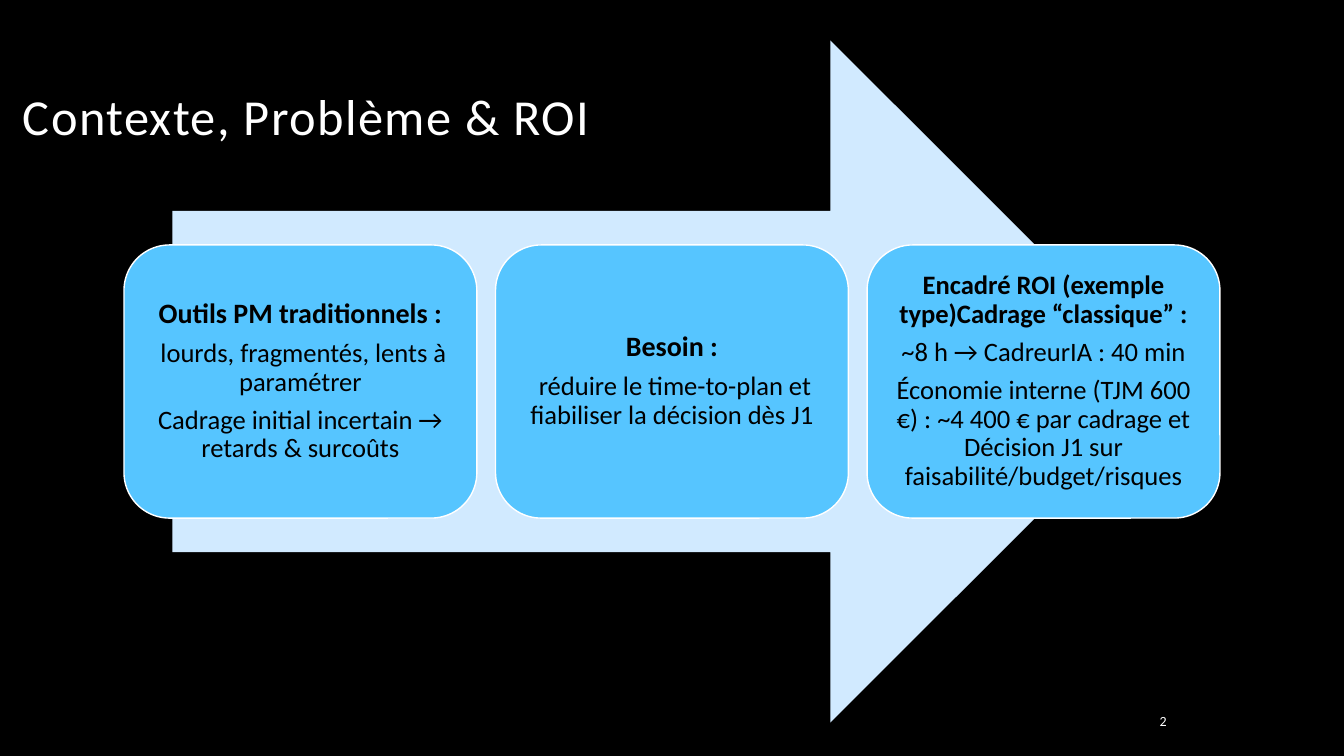
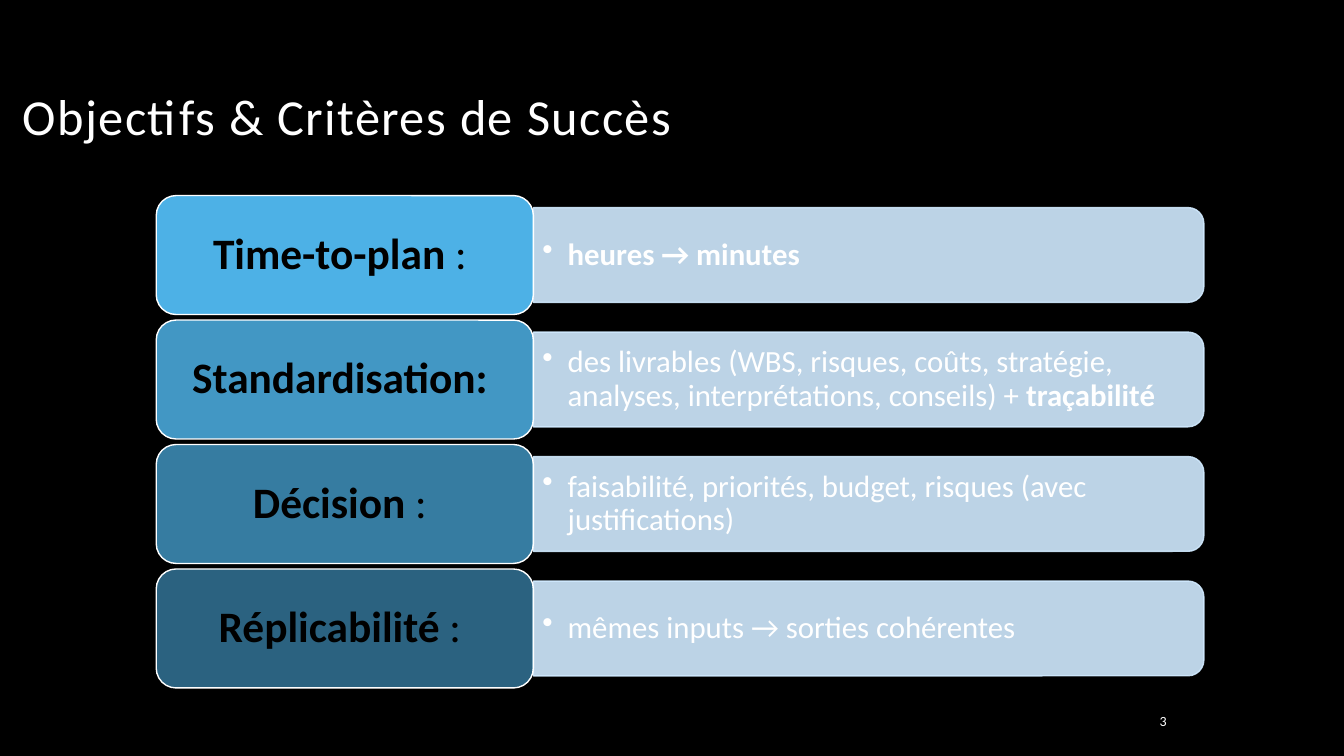
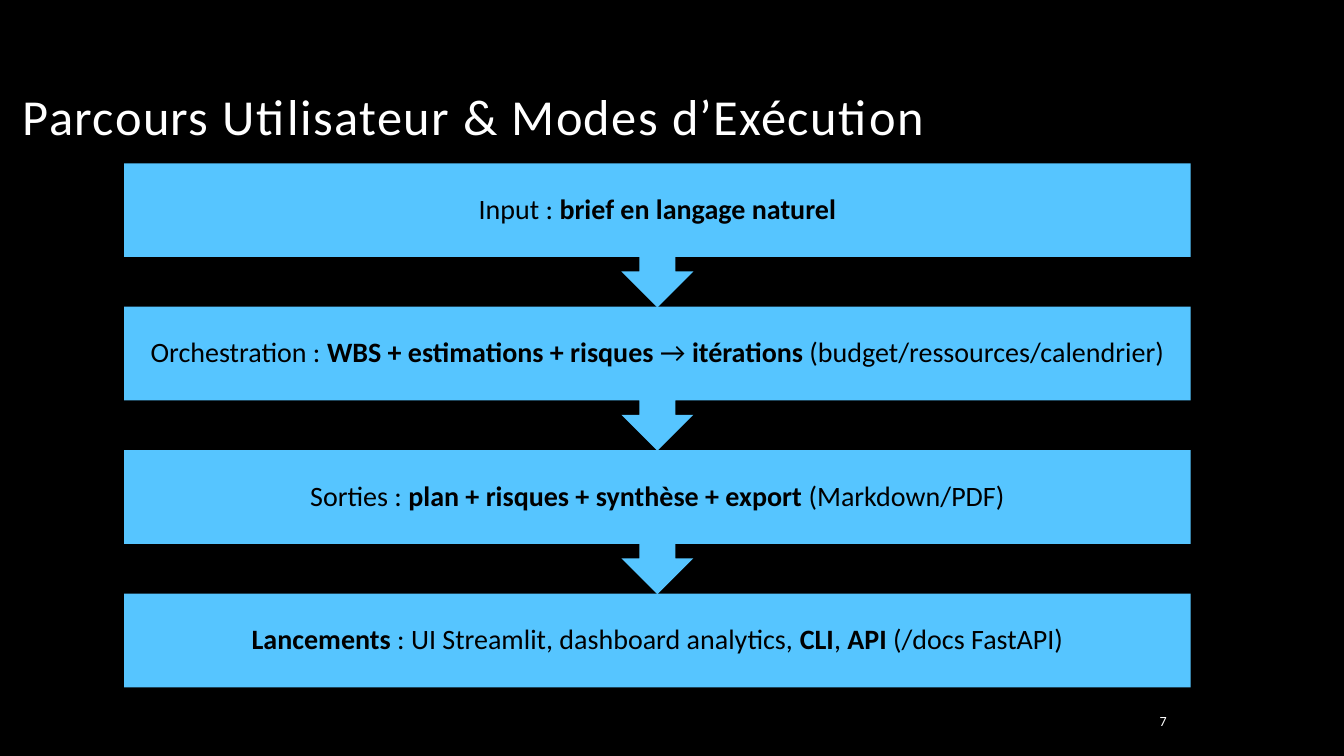
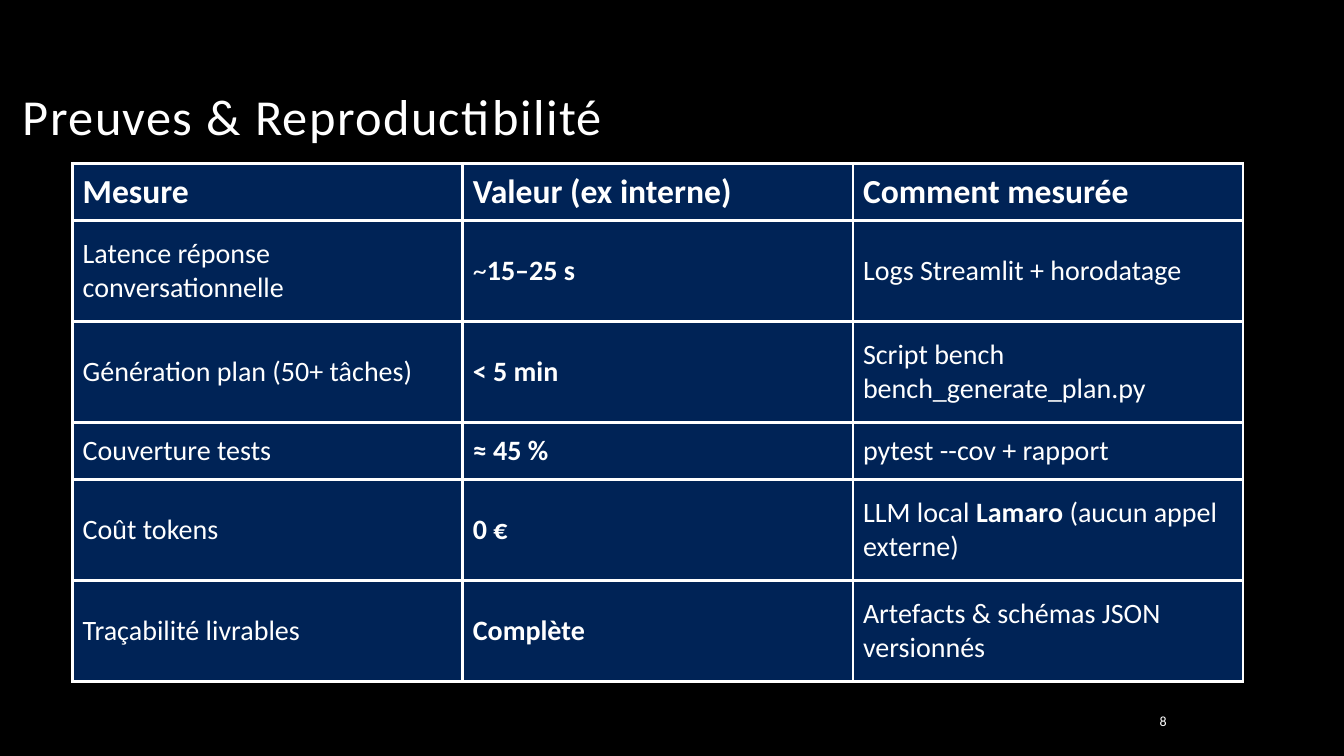
import pptx
import pptx.dml.color
import pptx.enum.shapes
import pptx.enum.text
import pptx.oxml
import pptx.oxml.ns
import pptx.util
from dataclasses import dataclass

Inches, Pt = pptx.util.Inches, pptx.util.Pt
SHAPE = pptx.enum.shapes.MSO_SHAPE
ALIGN = pptx.enum.text.PP_ALIGN
ANCHOR = pptx.enum.text.MSO_ANCHOR
qn = pptx.oxml.ns.qn


@dataclass(frozen=True)
class Theme:
    font: str = "Calibri"
    black: str = "000000"
    white: str = "FFFFFF"
    sky: str = "56C5FF"
    pale: str = "D1EAFF"
    navy: str = "002356"
    title: int = 36
    label: int = 31
    head: int = 24
    bullet: int = 22
    body: int = 20
    detail: int = 19
    number: int = 10


T = Theme()

CONTEXT = [
    [("**Outils PM traditionnels :**", T.body),
     (" lourds, fragmentés, lents à paramétrer", T.detail),
     ("Cadrage initial incertain → retards & surcoûts", T.detail)],
    [("**Besoin :**", T.body),
     (" réduire le time-to-plan et fiabiliser la décision dès J1", T.detail)],
    [("**Encadré ROI (exemple type)Cadrage “classique” :**", T.detail),
     (" ~8 h → CadreurIA : 40 min ", T.detail),
     ("Économie interne (TJM 600 €) : ~4 400 € par cadrage et Décision J1 "
      "sur faisabilité/budget/risques", T.detail)],
]

GOALS = [
    ("**Time-to-plan** : ", "**heures → minutes**"),
    ("**Standardisation: **",
     "des livrables (WBS, risques, coûts, stratégie, analyses, interprétations, "
     "conseils) + **traçabilité**"),
    ("**Décision **: ", "faisabilité, priorités, budget, risques (avec justifications)"),
    ("**Réplicabilité **: ", "mêmes inputs → sorties cohérentes"),
]

STEPS = [
    "Input : **brief en langage naturel**",
    "Orchestration : **WBS + estimations + risques** → **itérations** "
    "(budget/ressources/calendrier)",
    "Sorties : **plan + risques + synthèse + export** (Markdown/PDF)",
    "**Lancements** : UI Streamlit, dashboard analytics, **CLI**, **API** (/docs FastAPI)",
]

MEASURES = [
    ("**Mesure**", "**Valeur (ex interne)**", "**Comment mesurée**"),
    ("Latence réponse conversationnelle", "~**15–25 s**", "Logs Streamlit + horodatage"),
    ("Génération plan (50+ tâches)", "**< 5 min**", "Script bench bench_generate_plan.py"),
    ("Couverture tests", "**≈ 45 %**", "pytest --cov + rapport"),
    ("Coût tokens", "**0 €**", "LLM local **Lamaro** (aucun appel externe)"),
    ("Traçabilité livrables", "**Complète**", "Artefacts & schémas JSON versionnés"),
]
ROW_HEIGHTS = [0.57, 1, 1, 0.57, 1, 1]


def rgb(value):
    return pptx.dml.color.RGBColor.from_string(value)


def set_all(obj, values):
    for name, value in values.items():
        setattr(obj, name, value)


def write(tf, paragraphs, color, spacing=None, **fmt):
    for i, (text, size) in enumerate(paragraphs):
        p = tf.paragraphs[0] if i == 0 else tf.add_paragraph()
        set_all(p, fmt)
        if spacing is not None:
            set_all(p, {"line_spacing": 0.9, "space_after": Pt(round(size * spacing, 1))})
        for j, part in enumerate(text.split("**")):
            if part:
                r = p.add_run()
                r.text = part
                set_all(r.font, {"name": T.font, "size": Pt(size), "bold": j % 2 == 1})
                r.font.color.rgb = rgb(color)


def set_frame(tf, anchor, insets=(0.1, 0.05)):
    x, y = map(Inches, insets)
    set_all(tf, {"word_wrap": True, "vertical_anchor": anchor, "margin_left": x,
                 "margin_right": x, "margin_top": y, "margin_bottom": y})


def add_text(s, box, paragraphs, anchor=ANCHOR.MIDDLE, insets=(0.1, 0.05), **fmt):
    tf = s.shapes.add_textbox(*map(Inches, box)).text_frame
    set_frame(tf, anchor, insets)
    write(tf, paragraphs, T.white, **fmt)
    return tf


def add_shape(s, kind, box, fill, line=None, alpha=None):
    sp = s.shapes.add_shape(kind, *map(Inches, box))
    sp.shadow.inherit = False
    sp.fill.solid()
    sp.fill.fore_color.rgb = rgb(fill)
    if line:
        sp.line.color.rgb = rgb(line)
        sp.line.width = Pt(1)
    else:
        sp.line.fill.background()
    if alpha:
        for clr in sp._element.spPr.iter(qn("a:srgbClr")):
            if clr.get("val") == fill:
                pptx.oxml.ns.qn
                add_child(clr, "a:alpha", val=alpha * 1000)
    return sp


def add_child(parent, tag, **attrs):
    xml = f'<{tag} {pptx.oxml.ns.nsdecls("a")}/>'
    child = pptx.oxml.parse_xml(xml)
    for name, value in attrs.items():
        child.set(name, str(value))
    parent.append(child)
    return child


def label_shape(sp, paragraphs, insets):
    set_frame(sp.text_frame, ANCHOR.MIDDLE, insets)
    write(sp.text_frame, paragraphs, T.black, spacing=0.35, alignment=ALIGN.CENTER)


def add_slide(prs, title, number):
    s = prs.slides.add_slide(prs.slide_layouts[6])
    tf = add_text(s, (0.13, 0, 10, 1.5), [(title, T.title)], ANCHOR.BOTTOM, spacing=0)
    tf.paragraphs[0].runs[0]._r.get_or_add_rPr().set("spc", "100")
    add_text(s, (10.75, 7, 0.92, 0.3), [(number, T.number)], alignment=ALIGN.RIGHT)
    return s


def build_context(s):
    add_shape(s, SHAPE.RIGHT_ARROW, (1.71, 0.4, 9.91, 6.77), T.pale)
    width, gap = 3.5, 0.185
    for i, paragraphs in enumerate(CONTEXT):
        box = (1.23 + i * (width + gap), 2.43, width, 2.71)
        card = add_shape(s, SHAPE.ROUNDED_RECTANGLE, box, T.sky, T.white)
        label_shape(card, paragraphs, (0.08, 0.08))


def build_goals(s):
    left, width, height, pitch = 1.55, 3.74, 1.18, 1.235
    bar_left, bar_width, bar_height = left + width, 6.65, 0.94
    for i, (label, detail) in enumerate(GOALS):
        top = 1.94 + i * pitch
        middle = top + height / 2
        bar = add_shape(s, SHAPE.ROUND_2_SAME_RECTANGLE,
                        (bar_left + (bar_width - bar_height) / 2, middle - bar_width / 2,
                         bar_height, bar_width), T.pale, T.pale, 90)
        bar.rotation = 90
        tf = add_text(s, (bar_left, middle - 0.425, 6.61, 0.85), [(detail, T.bullet)],
                      insets=(0.09, 0.05), spacing=0.15)
        pPr = tf.paragraphs[0]._p.get_or_add_pPr()
        pPr.set("marL", str(Inches(0.25)))
        pPr.set("indent", str(-Inches(0.25)))
        add_child(pPr, "a:buChar", char="•")
        tag = add_shape(s, SHAPE.ROUNDED_RECTANGLE, (left, top, width, height),
                        T.sky, T.white, round(90 - 40 * i / (len(GOALS) - 1)))
        label_shape(tag, [(label, T.label)], (0.13, 0.06))


def build_steps(s):
    for i, step in enumerate(STEPS):
        last = i == len(STEPS) - 1
        kind = SHAPE.RECTANGLE if last else SHAPE.DOWN_ARROW_CALLOUT
        box = (1.23, 1.62 + i * 1.423, 10.58, 0.93 if last else 1.43)
        sp = add_shape(s, kind, box, T.sky)
        label_shape(sp, [(step, T.body)], (0.16, 0.16))


def build_measures(s):
    frame = s.shapes.add_table(len(MEASURES), 3, *map(Inches, (0.72, 1.62, 11.61, sum(ROW_HEIGHTS))))
    table = frame.table
    table.horz_banding = False
    for col in table.columns:
        col.width = Inches(3.87)
    for i, (values, height) in enumerate(zip(MEASURES, ROW_HEIGHTS)):
        table.rows[i].height = Inches(height)
        for j, value in enumerate(values):
            cell = table.cell(i, j)
            cell.vertical_anchor = ANCHOR.MIDDLE
            write(cell.text_frame, [(value, T.body if i else T.head)], T.white)
            tcPr = cell._tc.get_or_add_tcPr()
            for side in "LRTB":
                ln = add_child(tcPr, f"a:ln{side}", w=Pt(2.25))
                add_child(add_child(ln, "a:solidFill"), "a:srgbClr", val=T.white)
            cell.fill.solid()
            cell.fill.fore_color.rgb = rgb(T.navy)


SLIDES = [
    ("Contexte, Problème & ROI", "2", build_context),
    ("Objectifs & Critères de Succès", "3", build_goals),
    ("Parcours Utilisateur & Modes d’Exécution", "7", build_steps),
    ("Preuves & Reproductibilité", "8", build_measures),
]


def main():
    prs = pptx.Presentation()
    set_all(prs, {"slide_width": Inches(13.33), "slide_height": Inches(7.5)})
    bg = prs.slide_master.background.fill
    bg.solid()
    bg.fore_color.rgb = rgb(T.black)
    for title, number, build in SLIDES:
        build(add_slide(prs, title, number))
    prs.save("out.pptx")


if __name__ == "__main__":
    main()
